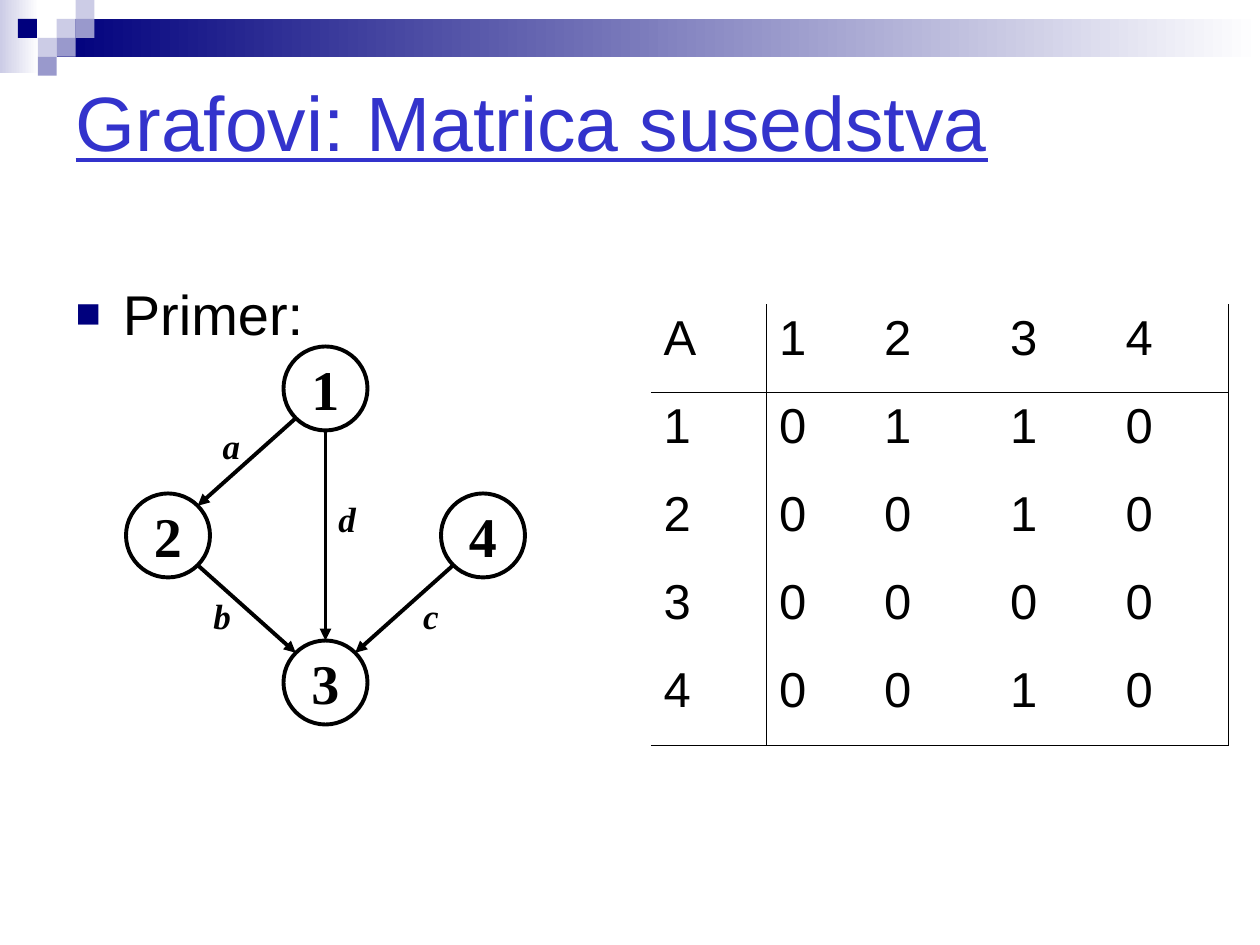
from dataclasses import dataclass
from typing import NamedTuple

from lxml import etree
from pptx import Presentation
from pptx import util as u
from pptx.dml.color import RGBColor
from pptx.enum import shapes, text
from pptx.oxml.ns import qn


@dataclass(frozen=True)
class Theme:
    ink: str = "000000"
    navy: str = "00007D"
    title: str = "3333CC"
    mid: str = "9999CC"
    pale: str = "CCCCE6"
    white: str = "FFFFFF"
    sans: str = "Arial"
    serif: str = "Times New Roman"
    title_size: float = 44
    body_size: float = 32
    cell_size: float = 28
    label_size: float = 20
    stroke: float = 2.25
    rule: float = 0.45
    frame: float = 1.08


class Tile(NamedTuple):
    col: float
    row: float
    color: str


class Node(NamedTuple):
    name: str
    col: float
    row: float


class Edge(NamedTuple):
    start: str
    end: str
    label: str
    col: float
    row: float


T = Theme()
COLS, ROWS = 120, 90
WIDTH, HEIGHT = u.Inches(10), u.Inches(7.5)
TILE = 1.8
RADIUS = 4
DIAGONAL = 0.5 ** 0.5

TILES = [
    Tile(3, 1, T.pale), Tile(4, 0, T.pale), Tile(4, 1, T.mid),
    Tile(2, 2, T.pale), Tile(0.95, 1, T.navy), Tile(3, 2, T.mid),
    Tile(2, 3, T.mid),
]
NODES = [Node("1", 31, 37), Node("2", 16, 51), Node("4", 46, 51), Node("3", 31, 65)]
EDGES = [
    Edge("1", "2", "a", 20, 39.8), Edge("2", "3", "b", 19.1, 56),
    Edge("4", "3", "c", 39, 56), Edge("1", "3", "d", 31, 46.8),
]
MATRIX = ["A1234", "10110", "20010", "30000", "40010"]
TABLE_COLS = [11, 10, 12, 11, 11]
TABLE_ROW = 8.4


def grid(n: float) -> int:
    return round(WIDTH * n / COLS)


def box(*values: float) -> list[int]:
    return [grid(v) for v in values]


def rgb(color: str) -> RGBColor:
    return RGBColor.from_string(color)


def style(p, font: str, size: float, color: str = T.ink, **flags: bool) -> None:
    for r in p.runs:
        r.font.name, r.font.size = font, u.Pt(size)
        r.font.color.rgb = rgb(color)
        for name, value in flags.items():
            setattr(r.font, name, value)


def add_rect(s, col: float, row: float, w: float, h: float, *colors: str) -> None:
    sp = s.shapes.add_shape(shapes.MSO_SHAPE.RECTANGLE, *box(col, row, w, h))
    sp.shadow.inherit = False
    sp.line.fill.background()
    if len(colors) == 1:
        sp.fill.solid()
        sp.fill.fore_color.rgb = rgb(colors[0])
        return
    sp.fill.gradient()
    sp.fill.gradient_angle = 0
    for stop, color in zip(sp.fill.gradient_stops, colors):
        stop.color.rgb = rgb(color)


def place(sp, *values: float):
    sp.left, sp.top, sp.width, sp.height = box(*values)
    sp.text_frame.auto_size = text.MSO_AUTO_SIZE.NONE
    return sp.text_frame


def add_bullet(p) -> None:
    pPr = p._p.get_or_add_pPr()
    pPr.set("marL", str(grid(4.5)))
    pPr.set("indent", str(-grid(4.5)))
    clr = etree.SubElement(pPr, qn("a:buClr"))
    etree.SubElement(clr, qn("a:srgbClr"), val=T.navy)
    etree.SubElement(pPr, qn("a:buSzPct"), val="75000")
    etree.SubElement(pPr, qn("a:buFont"), typeface=T.sans)
    etree.SubElement(pPr, qn("a:buChar"), char="■")


def add_node(s, node: Node) -> None:
    sp = s.shapes.add_shape(
        shapes.MSO_SHAPE.OVAL,
        *box(node.col - RADIUS, node.row - RADIUS, 2 * RADIUS, 2 * RADIUS))
    sp.shadow.inherit = False
    sp.fill.background()
    sp.line.color.rgb, sp.line.width = rgb(T.ink), u.Pt(T.stroke)
    tf = sp.text_frame
    tf.text, tf.word_wrap = node.name, False
    tf.vertical_anchor = text.MSO_ANCHOR.MIDDLE
    p = tf.paragraphs[0]
    p.alignment = text.PP_ALIGN.CENTER
    style(p, T.serif, T.body_size, bold=True)


def add_edge(s, edge: Edge, nodes: dict[str, Node]) -> None:
    a, b = nodes[edge.start], nodes[edge.end]
    side = (b.col > a.col) - (b.col < a.col)
    dx = side * RADIUS * DIAGONAL
    dy = RADIUS * (DIAGONAL if side else 1)
    ln = s.shapes.add_connector(
        shapes.MSO_CONNECTOR.STRAIGHT,
        *box(a.col + dx, a.row + dy, b.col - dx, b.row - dy))
    ln.line.color.rgb, ln.line.width = rgb(T.ink), u.Pt(T.stroke)
    etree.SubElement(ln.line._get_or_add_ln(), qn("a:tailEnd"), type="triangle")
    etree.SubElement(ln._element.spPr, qn("a:effectLst"))


def add_label(s, edge: Edge) -> None:
    tf = s.shapes.add_textbox(*box(edge.col, edge.row, 4.1, 5.3)).text_frame
    tf.text, tf.word_wrap = edge.label, False
    tf.auto_size = text.MSO_AUTO_SIZE.SHAPE_TO_FIT_TEXT
    p = tf.paragraphs[0]
    p.alignment = text.PP_ALIGN.CENTER
    style(p, T.serif, T.label_size, bold=True, italic=True)


def set_borders(cell, **widths: float) -> None:
    tcPr = cell._tc.get_or_add_tcPr()
    for side in "LRTB":
        width = widths.get(side, 0)
        ln = etree.SubElement(tcPr, qn(f"a:ln{side}"), w=str(u.Pt(width)))
        fill = etree.SubElement(ln, qn("a:solidFill" if width else "a:noFill"))
        if width:
            etree.SubElement(fill, qn("a:srgbClr"), val=T.ink)


def add_matrix(s) -> None:
    last = len(MATRIX) - 1
    tbl = s.shapes.add_table(
        len(MATRIX), len(TABLE_COLS),
        *box(62, 29, sum(TABLE_COLS), TABLE_ROW * len(MATRIX))).table
    tbl.first_row = tbl.horz_banding = False
    for column, width in zip(tbl.columns, TABLE_COLS):
        column.width = grid(width)
    for i, values in enumerate(MATRIX):
        tbl.rows[i].height = grid(TABLE_ROW)
        for j, value in enumerate(values):
            cell = tbl.cell(i, j)
            cell.text = value
            style(cell.text_frame.paragraphs[0], T.sans, T.cell_size)
            set_borders(cell, L=T.rule * (j == 1), T=T.rule * (i == 1),
                        R={0: T.rule, last: T.frame}.get(j, 0),
                        B={0: T.rule, last: T.frame}.get(i, 0))
            cell.fill.background()


def main() -> None:
    prs = Presentation()
    prs.slide_width, prs.slide_height = WIDTH, HEIGHT
    s = prs.slides.add_slide(prs.slide_layouts[1])

    add_rect(s, 0, 0, 3.7, 7, T.pale, T.white)
    add_rect(s, 3 * TILE, TILE, COLS - 3 * TILE, 2 * TILE, T.navy, T.white)
    for tile in TILES:
        add_rect(s, tile.col * TILE, tile.row * TILE, TILE, TILE, tile.color)

    tf = place(s.shapes.title, 6, 6, 108, 11)
    tf.text = "Grafovi: Matrica susedstva"
    tf.vertical_anchor = text.MSO_ANCHOR.MIDDLE
    p = tf.paragraphs[0]
    p.alignment = text.PP_ALIGN.LEFT
    style(p, T.sans, T.title_size, T.title, underline=True)

    tf = place(s.placeholders[1], 6, 26, 108, 51)
    tf.text = "Primer:"
    p = tf.paragraphs[0]
    p.space_before = u.Pt(0)
    add_bullet(p)
    style(p, T.sans, T.body_size)

    for node in NODES:
        add_node(s, node)
    nodes = {node.name: node for node in NODES}
    for edge in EDGES:
        add_edge(s, edge, nodes)
        add_label(s, edge)
    add_matrix(s)
    prs.save("out.pptx")


if __name__ == "__main__":
    main()
